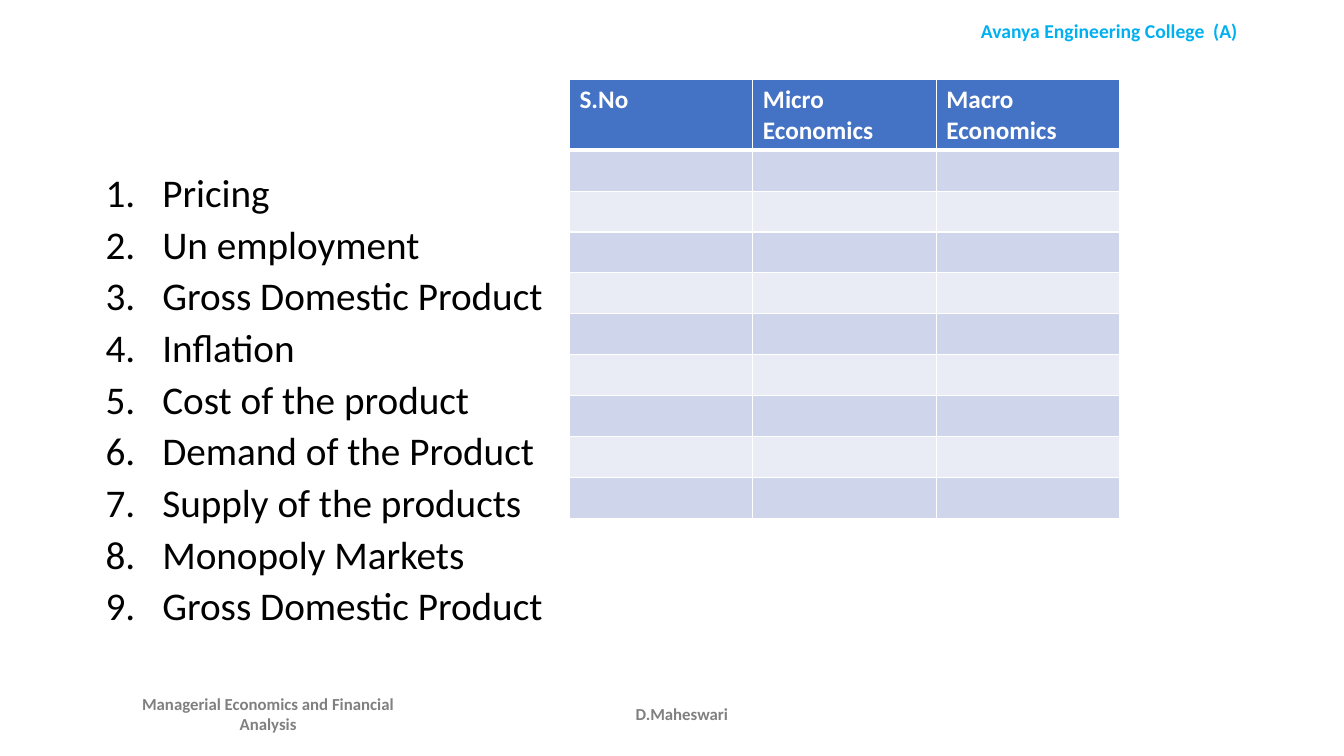
from dataclasses import dataclass

from lxml import etree
from pptx import Presentation
from pptx.dml.color import RGBColor
from pptx.enum.text import MSO_ANCHOR, PP_ALIGN
from pptx.oxml.ns import qn
from pptx.util import Pt

CENTER = PP_ALIGN.CENTER
TOP = MSO_ANCHOR.TOP
MIDDLE = MSO_ANCHOR.MIDDLE


@dataclass(frozen=True)
class Theme:
    font: str = "Calibri"
    college: str = "00B0F0"
    footer: str = "808080"
    text: str = "000000"
    white: str = "FFFFFF"
    header_fill: str = "4472C4"
    bands: tuple = ("CFD5EA", "E9EBF5")
    list_size: int = 28
    table_size: int = 18
    college_size: int = 14
    footer_size: int = 12


THEME = Theme()

TOPICS = [
    "Pricing",
    "Un employment",
    "Gross Domestic Product",
    "Inflation",
    "Cost of the product",
    "Demand of the Product",
    "Supply of the products",
    "Monopoly Markets",
    "Gross Domestic Product",
]
HEADINGS = ["S.No", "Micro Economics", "Macro Economics"]


def style(paragraph, size, color, bold=False):
    for run in paragraph.runs:
        run.font.name = THEME.font
        run.font.size = Pt(size)
        run.font.bold = bold
        run.font.color.rgb = RGBColor.from_string(color)


def add_frame(slide, left, top, width, height, anchor=TOP):
    box = slide.shapes.add_textbox(Pt(left), Pt(top), Pt(width), Pt(height))
    frame = box.text_frame
    frame.word_wrap = True
    frame.vertical_anchor = anchor
    return frame


def add_label(slide, text, bounds, size, color, anchor=MIDDLE):
    frame = add_frame(slide, *bounds, anchor)
    frame.text = text
    label = frame.paragraphs[0]
    label.alignment = CENTER
    style(label, size, color, bold=True)


def add_numbered_list(slide, items, bounds):
    frame = add_frame(slide, *bounds)
    frame.text = "\n".join(items)
    for item in frame.paragraphs:
        item.line_spacing = 0.8
        item.space_before = Pt(10)
        style(item, THEME.list_size, THEME.text)
        # Hanging indent with automatic numbers
        properties = item._p.get_or_add_pPr()
        properties.set("marL", str(Pt(40.5)))
        properties.set("indent", str(Pt(-40.5)))
        etree.SubElement(properties, qn("a:buFont"), typeface="+mj-lt")
        etree.SubElement(properties, qn("a:buAutoNum"), type="arabicPeriod")


def set_borders(cell, top=1, bottom=1):
    properties = cell._tc.get_or_add_tcPr()
    for side, width in (("L", 1), ("R", 1), ("T", top), ("B", bottom)):
        line = etree.SubElement(properties, qn(f"a:ln{side}"), w=str(Pt(width)))
        fill = etree.SubElement(line, qn("a:solidFill"))
        etree.SubElement(fill, qn("a:srgbClr"), val=THEME.white)


def add_answer_table(slide, headings, body_rows, left, top):
    column_width, header_height, row_height = 131, 50.4, 29.2
    table = slide.shapes.add_table(
        body_rows + 1, len(headings), Pt(left), Pt(top),
        Pt(column_width * len(headings)),
        Pt(header_height + row_height * body_rows),
    ).table
    for column in table.columns:
        column.width = Pt(column_width)
    for index, row in enumerate(table.rows):
        is_header = index == 0
        row.height = Pt(header_height if is_header else row_height)
        color = THEME.header_fill if is_header else THEME.bands[(index - 1) % 2]
        for cell in row.cells:
            # A thick rule separates the header from the body
            set_borders(cell, top=3 if index == 1 else 1,
                        bottom=3 if is_header else 1)
            cell.fill.solid()
            cell.fill.fore_color.rgb = RGBColor.from_string(color)
    for cell, heading in zip(table.rows[0].cells, headings):
        cell.text = heading
        style(cell.text_frame.paragraphs[0], THEME.table_size, THEME.white, bold=True)


def main():
    deck = Presentation()
    deck.slide_width, deck.slide_height = Pt(960), Pt(540)
    slide = deck.slides.add_slide(deck.slide_layouts[6])

    # College name
    add_label(slide, "Avanya Engineering College  (A)", (654.5, 10, 275.8, 24.5),
              THEME.college_size, THEME.college, TOP)

    # Topics to sort, and the table to sort them into
    add_numbered_list(slide, TOPICS, (68.4, 123.1, 828, 357.1))
    add_answer_table(slide, HEADINGS, len(TOPICS), 406.8, 56.9)

    # Footer: course and lecturer
    for text, left, width in (
        ("Managerial Economics and Financial Analysis", 82.8, 217.4),
        ("D.Maheswari", 404.6, 164.9),
    ):
        add_label(slide, text, (left, 495.4, width, 28.5),
                  THEME.footer_size, THEME.footer)

    deck.save("out.pptx")


if __name__ == "__main__":
    main()
